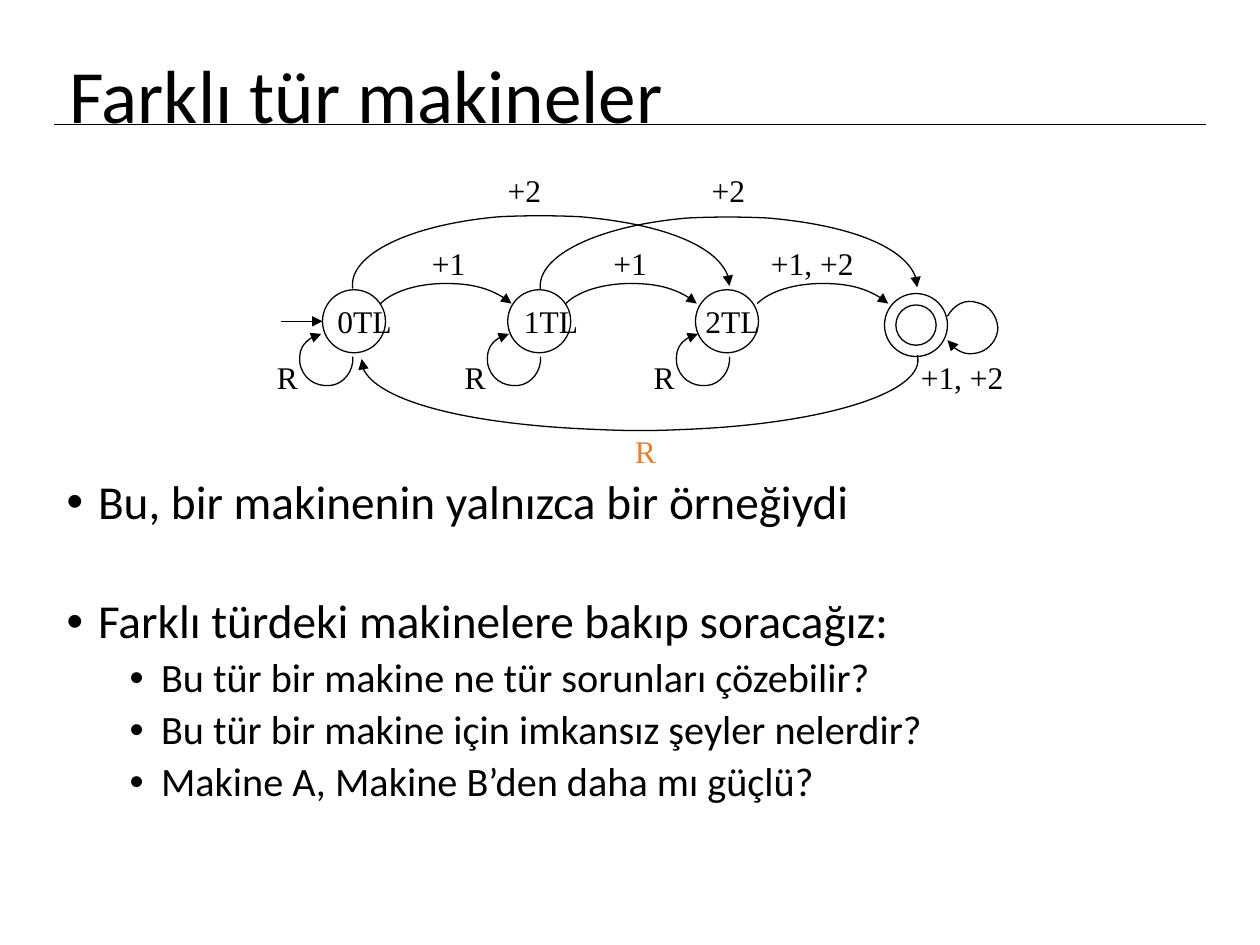
import pptx
import pptx.util
import pptx.dml.color
import pptx.enum.shapes
import pptx.enum.text
import pptx.oxml
import pptx.oxml.ns
from pptx.util import Inches

BLACK = "000000"
ORANGE = "ED7D31"
NAMESPACE = pptx.oxml.ns.nsdecls("a")


def add_text(para, text, size, font, color=BLACK):
    span = para.add_run()
    span.text = text
    span.font.size = pptx.util.Pt(size)
    span.font.name = font
    span.font.color.rgb = pptx.dml.color.RGBColor.from_string(color)


def style_line(shape, arrow=False):
    shape.line.color.rgb = pptx.dml.color.RGBColor.from_string(BLACK)
    shape.line.width = pptx.util.Pt(0.75)
    properties = shape._element.spPr
    if arrow:
        tip = pptx.oxml.parse_xml(f'<a:tailEnd {NAMESPACE} type="triangle"/>')
        properties.find(pptx.oxml.ns.qn("a:ln")).append(tip)
    properties.append(pptx.oxml.parse_xml(f"<a:effectLst {NAMESPACE}/>"))


deck = pptx.Presentation()
deck.slide_width = Inches(10)
deck.slide_height = Inches(7.5)
page = deck.slides.add_slide(deck.slide_layouts[6])
shapes = page.shapes

# Straight lines: title rule and start arrow
for left, right, y, arrow in [(0.43, 9.57, 0.99, False), (2.23, 2.56, 2.55, True)]:
    line = shapes.add_connector(
        pptx.enum.shapes.MSO_CONNECTOR.STRAIGHT,
        Inches(left), Inches(y), Inches(right), Inches(y))
    style_line(line, arrow)

# Title
box = shapes.add_textbox(Inches(0.45), Inches(0.06), Inches(8.62), Inches(1.45))
box.text_frame.word_wrap = True
box.text_frame.vertical_anchor = pptx.enum.text.MSO_ANCHOR.MIDDLE
para = box.text_frame.paragraphs[0]
para.line_spacing = 0.9
add_text(para, "Farklı tür makineler", 43, "Calibri")

# Bullets: text, level, space before
bullets = [
    ("Bu, bir makinenin yalnızca bir örneğiydi", 0, 0),
    ("Farklı türdeki makinelere bakıp soracağız:", 0, 39),
    ("Bu tür bir makine ne tür sorunları çözebilir?", 1, 5),
    ("Bu tür bir makine için imkansız şeyler nelerdir?", 1, 5),
    ("Makine A, Makine B’den daha mı güçlü?", 1, 5),
]
box = shapes.add_textbox(Inches(0.43), Inches(3.75), Inches(9.14), Inches(3.23))
box.text_frame.word_wrap = True
for index, (text, level, space) in enumerate(bullets):
    para = box.text_frame.paragraphs[0] if index == 0 else box.text_frame.add_paragraph()
    para.level = level
    para.line_spacing = 0.9
    para.space_before = pptx.util.Pt(space)
    settings = para._p.get_or_add_pPr()
    settings.set("marL", str(Inches(0.25 + 0.5 * level)))
    settings.set("indent", str(Inches(-0.25)))
    settings.append(pptx.oxml.parse_xml(f'<a:buFont {NAMESPACE} typeface="Arial"/>'))
    settings.append(pptx.oxml.parse_xml(f'<a:buChar {NAMESPACE} char="•"/>'))
    add_text(para, text, 23 if level else 27, "Calibri")

# States, the last one with an inner ring
for left, top, size in [(2.56, 2.3, 0.5), (4.03, 2.3, 0.5), (5.52, 2.3, 0.5),
                        (7.02, 2.33, 0.5), (7.11, 2.42, 0.32)]:
    state = shapes.add_shape(
        pptx.enum.shapes.MSO_SHAPE.OVAL,
        Inches(left), Inches(top), Inches(size), Inches(size))
    state.fill.background()
    style_line(state)

# Transitions: Bezier control points, and the offsets at which each repeats
step_arc = [(3.02, 2.41), (3.12, 2.31), (3.32, 2.25), (3.54, 2.25),
            (3.75, 2.25), (3.95, 2.31), (4.06, 2.41)]
skip_arc = [(2.8, 2.29), (2.76, 2.02), (3.26, 1.78), (3.97, 1.72), (4.18, 1.71),
            (4.39, 1.71), (4.6, 1.72), (5.3, 1.78), (5.8, 2.01), (5.79, 2.27)]
reset_loop = [(2.8, 2.83), (2.81, 2.94), (2.73, 3.05), (2.62, 3.06), (2.5, 3.07),
              (2.4, 3), (2.38, 2.88), (2.37, 2.77), (2.44, 2.67), (2.55, 2.65)]
final_loop = [(7.52, 2.51), (7.57, 2.42), (7.66, 2.37), (7.75, 2.4), (7.85, 2.42),
              (7.91, 2.5), (7.92, 2.6), (7.92, 2.69), (7.85, 2.78), (7.76, 2.8),
              (7.67, 2.82), (7.57, 2.78), (7.52, 2.7)]
return_arc = [(7.28, 2.82), (7.36, 3.11), (6.54, 3.37), (5.4, 3.41), (5.19, 3.42),
              (4.98, 3.42), (4.76, 3.41), (3.66, 3.37), (2.84, 3.13), (2.87, 2.85)]
transitions = [
    (step_arc, [(0, 0), (1.47, 0), (2.99, 0)]),
    (skip_arc, [(0, 0), (1.49, 0.01)]),
    (reset_loop, [(0, 0), (1.49, 0), (2.99, 0)]),
    (final_loop, [(0, 0)]),
    (return_arc, [(0, 0)]),
]
for controls, offsets in transitions:
    for dx, dy in offsets:
        route = [(Inches(x + dx), Inches(y + dy)) for x, y in controls]
        builder = shapes.build_freeform(*route[0])
        builder.add_line_segments(route[1:], close=False)
        curve = builder.convert_to_shape()
        # Join every three segments into one cubic curve
        segments = list(curve._element.iter(pptx.oxml.ns.qn("a:lnTo")))
        outline = segments[0].getparent()
        for first in range(0, len(segments), 3):
            cubic = pptx.oxml.parse_xml(f"<a:cubicBezTo {NAMESPACE}/>")
            for segment in segments[first:first + 3]:
                cubic.append(segment[0])
                outline.remove(segment)
            outline.append(cubic)
        curve.fill.background()
        style_line(curve, arrow=True)

# State and transition labels
labels = [
    ("0TL", 2.58, 2.35, 0.63), ("1TL", 4.06, 2.35, 0.63), ("2TL", 5.5, 2.35, 0.63),
    ("+2", 3.93, 1.31, 0.47), ("+2", 5.55, 1.31, 0.47),
    ("+1", 3.33, 1.89, 0.47), ("+1", 4.77, 1.89, 0.47),
    ("+1, +2", 6.02, 1.89, 0.86), ("+1, +2", 7.21, 2.79, 0.86),
    ("R", 2.1, 2.79, 0.36), ("R", 3.59, 2.79, 0.36), ("R", 5.09, 2.79, 0.36),
    ("R", 4.94, 3.38, 0.36),
]
for text, left, top, width in labels:
    box = shapes.add_textbox(Inches(left), Inches(top), Inches(width), Inches(0.4))
    box.text_frame.word_wrap = False
    box.text_frame.auto_size = pptx.enum.text.MSO_AUTO_SIZE.SHAPE_TO_FIT_TEXT
    color = ORANGE if top == 3.38 else BLACK  # the return transition stands out
    add_text(box.text_frame.paragraphs[0], text, 18, "Times New Roman", color)

deck.save("out.pptx")
